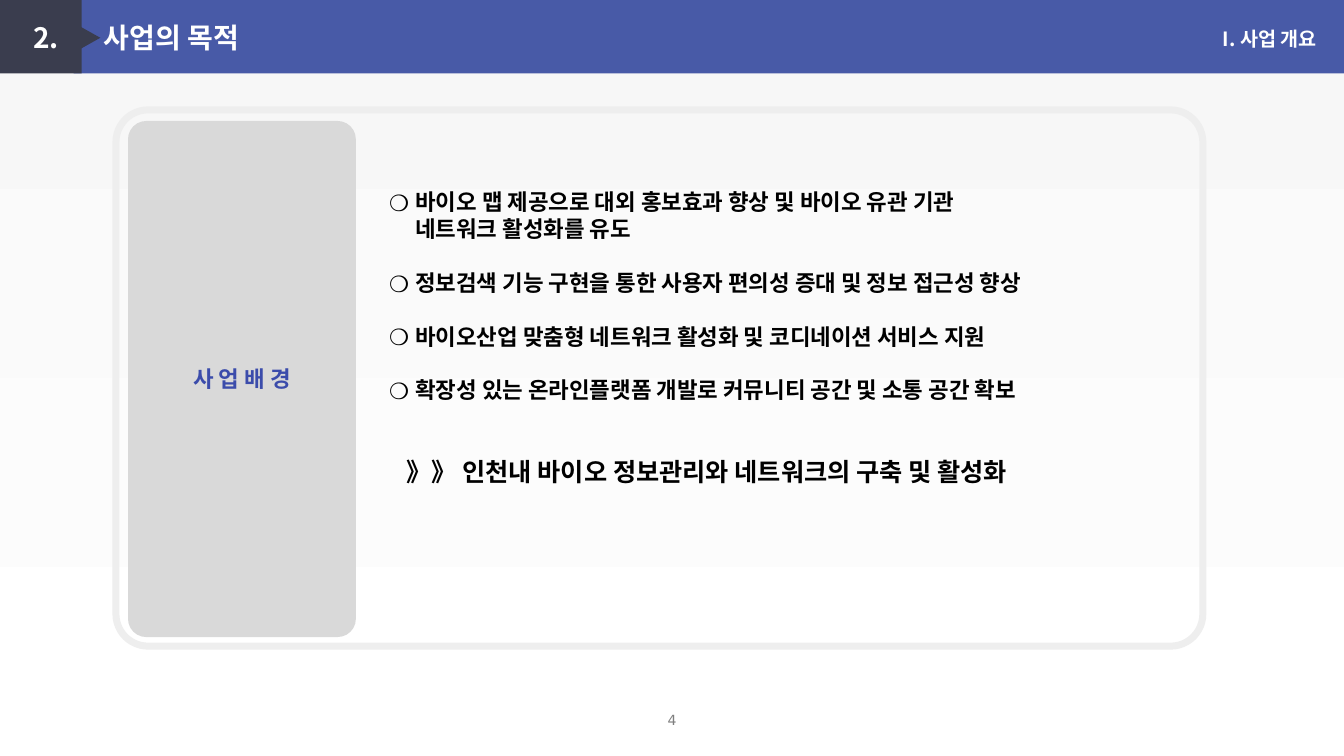
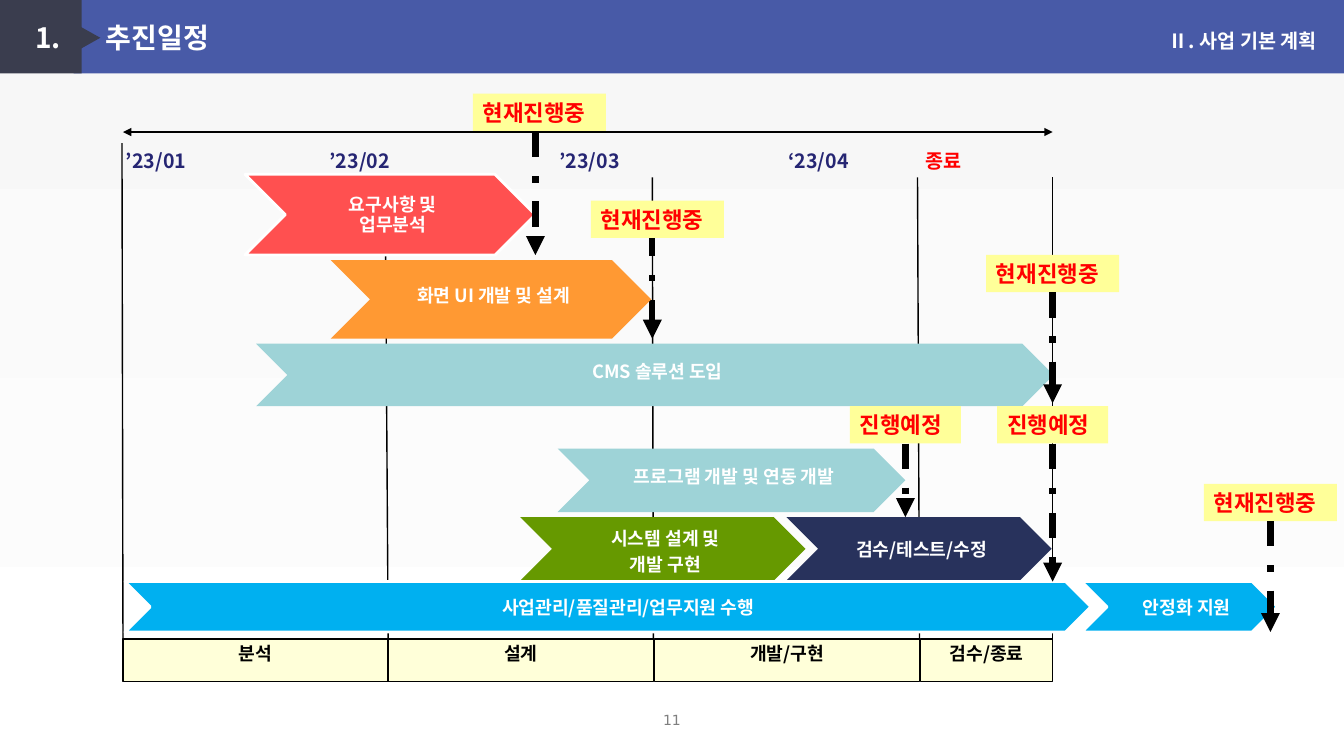
from lxml.etree import SubElement
from pptx import Presentation
from pptx.dml.color import RGBColor
from pptx.enum.dml import MSO_LINE
from pptx.enum.shapes import MSO_CONNECTOR, MSO_SHAPE
from pptx.enum.text import MSO_ANCHOR, MSO_AUTO_SIZE, PP_ALIGN
from pptx.oxml.ns import qn
from pptx.util import Emu, Pt

WHITE, BLACK, RED = "FFFFFF", "000000", "FF0000"
BAND, DARK, GREY = "485AA7", "3A3D4E", "7F7F7F"
CYAN, SKY = "9ED3D7", "00B0F0"
FONT, NUMBER_FONT = "Noto Sans CJK KR", "DejaVu Sans"
LEFT, CENTER, RIGHT = PP_ALIGN.LEFT, PP_ALIGN.CENTER, PP_ALIGN.RIGHT
WIDTH, HEIGHT = 1333, 750
BOTTOM = 2


def px(n):
    return Emu(n * 9144)


def rgb(value):
    return RGBColor.from_string(value)


class Deck:
    def __init__(self):
        self.prs = Presentation()
        self.prs.slide_width, self.prs.slide_height = px(WIDTH), px(HEIGHT)
        self.s = None
        fill = self.prs.slide_master.background.fill
        fill.gradient()
        fill.gradient_angle = 270
        for stop, color in zip(fill.gradient_stops, ("F7F7F7", WHITE)):
            stop.color.rgb = rgb(color)

    def slide(self, layout, title, title_x, section, section_y, number):
        self.s = self.prs.slides.add_slide(self.prs.slide_layouts[layout])
        if len(self.prs.slides) == 1:
            self.master_band()
        sp = self.place(self.s.shapes.title, title_x, 16, 600, 43)
        tf = self.frame(sp)
        p = self.paragraph(tf, 0, LEFT)
        self.tabs(p, [70])
        self.run(p, title, 20, WHITE)
        self.text(1076, section_y, 240, 34, section, 14, WHITE, RIGHT)
        self.text(0, 701, WIDTH, 27, number, 10, GREY, CENTER, font=NUMBER_FONT, bold=False)

    def master_band(self):
        parts = [
            self.shape(MSO_SHAPE.RECTANGLE, 73, 0, 1260, 73, BAND),
            self.shape(MSO_SHAPE.RECTANGLE, 0, 0, 81, 73, DARK),
            self.shape(MSO_SHAPE.ISOSCELES_TRIANGLE, 73, 25, 28, 25, DARK),
        ]
        parts[2].rotation = 90
        for i, sp in enumerate(parts, 100):
            sp.element.nvSpPr.cNvPr.set("id", str(i))
            self.prs.slide_master.shapes.element.append(sp.element)

    def place(self, sp, x, y, w, h):
        sp.left, sp.top, sp.width, sp.height = px(x), px(y), px(w), px(h)
        return sp

    def frame(self, sp, inset=(10, 0, 10, 0), anchor=MSO_ANCHOR.MIDDLE):
        tf = sp.text_frame
        tf.word_wrap, tf.auto_size = True, MSO_AUTO_SIZE.NONE
        tf.vertical_anchor = anchor
        tf.margin_left, tf.margin_top, tf.margin_right, tf.margin_bottom = map(px, inset)
        return tf

    def paragraph(self, tf, index, align, pitch=None, before=0):
        p = tf.paragraphs[0] if index == 0 else tf.add_paragraph()
        p.alignment, p.space_before = align, Pt(before)
        if pitch:
            p.line_spacing = Pt(pitch)
        return p

    def run(self, p, text, size, color, font=FONT, bold=True):
        r = p.add_run()
        r.text = text
        r.font.size, r.font.bold, r.font.name = Pt(size), bold, font
        r.font.color.rgb = rgb(color)
        SubElement(r._r.get_or_add_rPr(), qn("a:ea"), typeface=font)

    def tabs(self, p, stops):
        tab_list = SubElement(p._p.get_or_add_pPr(), qn("a:tabLst"))
        for stop in stops:
            SubElement(tab_list, qn("a:tab"), pos=str(px(stop)), algn="l")

    def indent(self, p, margin, bullet=None):
        pPr = p._p.get_or_add_pPr()
        pPr.set("marL", str(px(margin)))
        pPr.set("indent", str(px(-margin if bullet else 0)))
        if bullet:
            SubElement(pPr, qn("a:buFont"), typeface=FONT)
            SubElement(pPr, qn("a:buChar"), char=bullet)
        else:
            SubElement(pPr, qn("a:buNone"))

    def lines(self, tf, texts, size, color, align, pitch=None, font=FONT, bold=True):
        for i, text in enumerate(texts):
            p = self.paragraph(tf, i, align, pitch)
            self.run(p, text, size, color, font, bold)

    def text(self, x, y, w, h, text, size, color, align, font=FONT, bold=True):
        sp = self.s.shapes.add_textbox(px(x), px(y), px(w), px(h))
        self.lines(self.frame(sp), [text], size, color, align, font=font, bold=bold)

    def shape(self, kind, x, y, w, h, fill=None, line=None, width=1, adj=None):
        sp = self.s.shapes.add_shape(kind, px(x), px(y), px(w), px(h))
        sp.shadow.inherit = False
        if fill:
            sp.fill.solid()
            sp.fill.fore_color.rgb = rgb(fill)
        else:
            sp.fill.background()
        if line:
            sp.line.color.rgb = rgb(line)
            sp.line.width = Pt(width)
        else:
            sp.line.fill.background()
        if adj is not None:
            sp.adjustments[0] = adj
        return sp

    def line(self, x1, y1, x2, y2, width=1, dash=None, ends=()):
        c = self.s.shapes.add_connector(MSO_CONNECTOR.STRAIGHT, px(x1), px(y1), px(x2), px(y2))
        c.line.color.rgb = rgb(BLACK)
        c.line.width = Pt(width)
        if dash:
            c.line.dash_style = dash
        for end in ends:
            SubElement(c.element.spPr.find(qn("a:ln")), qn("a:" + end), type="triangle")
        SubElement(c.element.spPr, qn("a:effectLst"))
        return c

    def marker_arrow(self, x, top, bottom, label=None):
        c = self.line(x, top, x, bottom, 4.5, MSO_LINE.DASH_DOT, ["tailEnd"])
        if label:
            c.begin_connect(label, BOTTOM)

    def label(self, x, y, text):
        sp = self.shape(MSO_SHAPE.RECTANGLE, x, y, 132 if len(text) == 5 else 110, 37, "FFFF99")
        self.lines(self.frame(sp), [text], 16, RED, LEFT)
        return sp

    def chevron(self, x, y, w, h, fill, texts, line=None, shift=5, lift=0, pitch=None):
        sp = self.shape(MSO_SHAPE.CHEVRON, x, y, w, h, fill, line, 2)
        tf = self.frame(sp, (shift, 0, 0, lift))
        self.lines(tf, texts, 13, WHITE, CENTER, pitch)

    def stage(self, x, w, text):
        sp = self.shape(MSO_SHAPE.RECTANGLE, x, 634, w, 42, "FFFFD9", BLACK)
        tf = self.frame(sp, (10, 3, 10, 5), MSO_ANCHOR.TOP)
        self.lines(tf, [text], 13, BLACK, CENTER)


def purpose(deck):
    deck.slide(1, "2.\t사업의 목적", 23, "I. 사업 개요", 21, "4")
    deck.shape(MSO_SHAPE.ROUNDED_RECTANGLE, 115, 109, 1078, 532, None, "EEEEEE", 5, 0.06)
    sp = deck.shape(MSO_SHAPE.ROUNDED_RECTANGLE, 127, 120, 226, 512, "D9D9D9", adj=0.08)
    deck.lines(deck.frame(sp), ["사 업 배 경"], 16, "3B4CAB", CENTER)

    body = deck.place(deck.s.placeholders[1], 376, 187, 736, 383)
    tf = deck.frame(body, anchor=MSO_ANCHOR.TOP)
    goals = [
        ["바이오 맵 제공으로 대외 홍보효과 향상 및 바이오 유관 기관", "네트워크 활성화를 유도"],
        ["정보검색 기능 구현을 통한 사용자 편의성 증대 및 정보 접근성 향상"],
        ["바이오산업 맞춤형 네트워크 활성화 및 코디네이션 서비스 지원"],
        ["확장성 있는 온라인플랫폼 개발로 커뮤니티 공간 및 소통 공간 확보"],
    ]
    for i, texts in enumerate(goals):
        p = deck.paragraph(tf, i, LEFT, 19.2, 19.2 if i else 0)
        deck.indent(p, 26, "❍")
        for j, text in enumerate(texts):
            if j:
                p.add_line_break()
            deck.run(p, text, 16, BLACK)
    p = deck.paragraph(tf, len(goals), LEFT, 21.6, 38)
    deck.indent(p, 17)
    deck.run(p, "》》 인천내 바이오 정보관리와 네트워크의 구축 및 활성화", 18, BLACK)


def schedule(deck):
    deck.slide(5, "1.\t추진일정", 25, "Ⅱ. 사업 기본 계획", 23, "11")
    deck.marker_arrow(647, 229, 336)
    for x1, top, x2 in [(910, 176, 912), (382, 174, 385), (647, 176, 648),
                        (1044, 176, 1044), (121, 142, 122)]:
        deck.line(x1, top, x2, 634)
    for i, name in enumerate(["분석", "설계", "개발/구현", "검수/종료"]):
        deck.stage(122 + i * 791 // 3, 131 if i == 3 else 263, name)
    deck.line(122, 131, 1044, 131, ends=["headEnd", "tailEnd"])

    deck.chevron(516, 513, 283, 63, "669900", ["시스템 설계 및", "개발 구현"], pitch=18.6)
    deck.chevron(780, 513, 263, 63, "28325C", ["검수/테스트/수정"])
    deck.chevron(254, 341, 791, 62, CYAN, ["CMS 솔루션 도입"], lift=8)
    deck.chevron(328, 258, 318, 78, "FF9933", ["화면 UI 개발 및 설계"], lift=8)
    deck.chevron(553, 445, 345, 63, CYAN, ["프로그램 개발 및 연동 개발"], lift=8)
    deck.chevron(124, 577, 958, 50, SKY, ["사업관리/품질관리/업무지원 수행"], WHITE, 40)
    deck.chevron(1073, 577, 194, 50, SKY, ["안정화 지원"], WHITE, 14)
    deck.chevron(243, 173, 288, 80, "FF5050", ["요구사항 및", "업무분석"], WHITE, pitch=14.3)

    deck.marker_arrow(531, 131, 253)
    running, planned = "현재진행중", "진행예정"
    deck.label(469, 93, running)
    deck.label(586, 199, running)
    for x, y, text, center, end in [
        (843, 403, planned, 898, 513),
        (989, 403, planned, 1044, 577),
        (978, 253, running, 1044, 400),
        (1194, 480, running, 1260, 627),
    ]:
        deck.marker_arrow(center, y + 37, end, deck.label(x, y, text))

    sp = deck.s.shapes.add_textbox(px(115), px(142), px(1062), px(34))
    p = deck.paragraph(deck.frame(sp), 0, LEFT)
    deck.tabs(p, [202, 430, 657, 793])
    deck.run(p, "’23/01\t’23/02\t’23/03\t‘23/04\t", 14, "262673")
    deck.run(p, "종료", 14, RED)


def main():
    deck = Deck()
    purpose(deck)
    schedule(deck)
    deck.prs.save("out.pptx")


if __name__ == "__main__":
    main()
